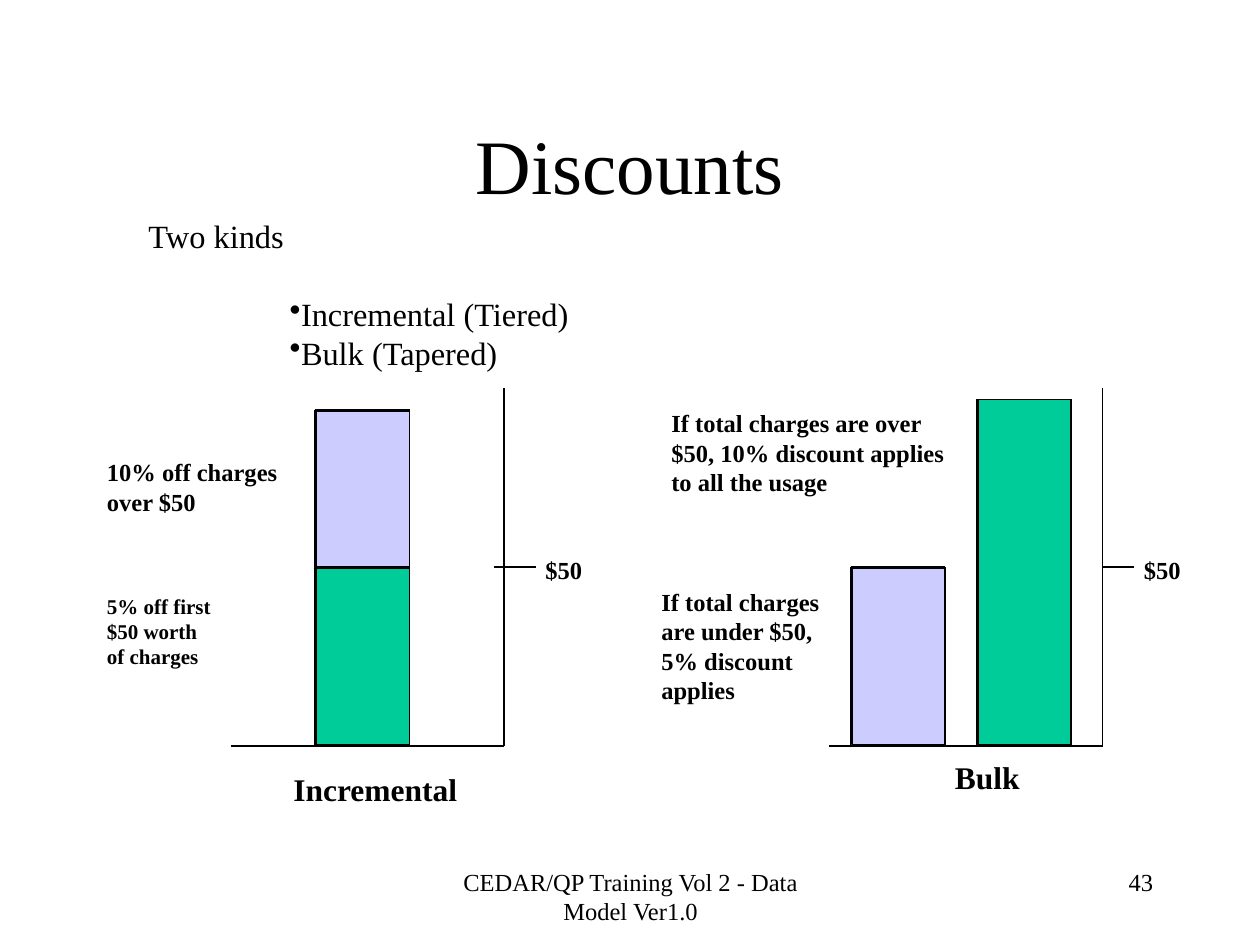
from lxml.etree import SubElement
from pptx import Presentation
from pptx.dml.color import RGBColor
from pptx.enum.shapes import MSO_CONNECTOR as Connector, MSO_SHAPE as Shape
from pptx.enum.text import MSO_ANCHOR as Anchor, PP_ALIGN as Align
from pptx.oxml.ns import qn
from pptx.util import Inches, Pt

COLORS = {"ink": "000000", "green": "00CC99", "lavender": "CCCCFF"}
INK = RGBColor.from_string(COLORS["ink"])

presentation = Presentation()
presentation.slide_width = Inches(10)
presentation.slide_height = Inches(7.5)
slide = presentation.slides.add_slide(presentation.slide_layouts[6])


def add_line(x1, y1, x2, y2):
    line = slide.shapes.add_connector(
        Connector.STRAIGHT, Inches(x1), Inches(y1), Inches(x2), Inches(y2))
    line.line.color.rgb = INK
    line.line.width = Pt(1)
    SubElement(line._element.spPr, qn("a:effectLst"))


def add_text(box, lines, size, bold=False, align=Align.LEFT, wrap=True, anchor=Anchor.TOP):
    frame = slide.shapes.add_textbox(*map(Inches, box)).text_frame
    frame.word_wrap = wrap
    frame.vertical_anchor = anchor
    frame.text = "\n".join(lines)
    font_format = {"name": "Times New Roman", "size": Pt(size), "bold": bold}
    for paragraph in frame.paragraphs:
        paragraph.alignment = align
        for run in paragraph.runs:
            for name, value in font_format.items():
                setattr(run.font, name, value)
            run.font.color.rgb = INK
    return frame


add_text((0.75, 0.67, 8.5, 1.25), ["Discounts"], 44, align=Align.CENTER, anchor=Anchor.MIDDLE)

kinds = add_text((1.08, 1.67, 3.62, 1.77),
                 ["Two kinds", "Incremental (Tiered)", "Bulk (Tapered)"], 18.5)
for paragraph in kinds.paragraphs[1:]:
    paragraph.level = 1
    properties = paragraph._p.get_or_add_pPr()
    properties.set("marL", str(Inches(0.81)))
    properties.set("indent", str(Inches(0.31)))
    SubElement(properties, qn("a:buChar"), char="•")
kinds.paragraphs[1].space_before = Pt(22)

BASE, LEVEL, AXIS_TOP = 5.92, 4.5, 3.08
for axis, tick_start, tick_end in [(4, 3.92, 4.25), (8.75, 8.75, 9)]:
    add_line(axis - 2.17, BASE, axis, BASE)
    add_line(axis, AXIS_TOP, axis, BASE)
    add_line(tick_start, LEVEL, tick_end, LEVEL)
    add_text((axis + 0.23, 4.36, 0.49, 0.33), ["$50"], 14, bold=True, wrap=False)

BAR_WIDTH = 0.75
for left, top in [(2.5, 3.25), (6.75, LEVEL), (7.75, 3.17)]:
    add_line(left, top, left, BASE)
    add_line(left + BAR_WIDTH, top, left + BAR_WIDTH, BASE)
    add_line(left, top, left + BAR_WIDTH, top)

bars = [
    (2.51, 4.51, 1.4, "green"),
    (2.51, 3.26, 1.24, "lavender"),
    (6.76, 4.51, 1.4, "lavender"),
    (7.76, 3.17, 2.74, "green"),
]
for left, top, height, color in bars:
    bar = slide.shapes.add_shape(
        Shape.RECTANGLE, Inches(left), Inches(top), Inches(0.74), Inches(height))
    bar.shadow.inherit = False
    bar.fill.solid()
    bar.fill.fore_color.rgb = RGBColor.from_string(COLORS[color])
    bar.line.color.rgb = INK
    bar.line.width = Pt(1)

notes = [
    ((5.23, 3.19, 2.43, 0.8), "If total charges are over $50, 10% discount applies to all the usage", 14),
    ((5.15, 4.61, 1.52, 1.04), "If total charges are under $50, 5% discount applies", 14),
    ((0.75, 3.58, 1.58, 0.57), "10% off charges over $50", 14),
    ((0.75, 4.66, 1.08, 0.7), "5% off first $50 worth of charges", 12),
]
for box, text, size in notes:
    add_text(box, [text], size, bold=True)

for box, name in [((2.23, 6.06, 1.51, 0.4), "Incremental"), ((7.48, 5.97, 0.72, 0.4), "Bulk")]:
    add_text(box, [name], 18, bold=True, wrap=False)

add_text((3.42, 6.83, 3.17, 0.5), ["CEDAR/QP Training Vol 2 - Data Model Ver1.0"], 14, align=Align.CENTER)
add_text((7.17, 6.83, 2.08, 0.5), ["43"], 14, align=Align.RIGHT)

presentation.save("out.pptx")
